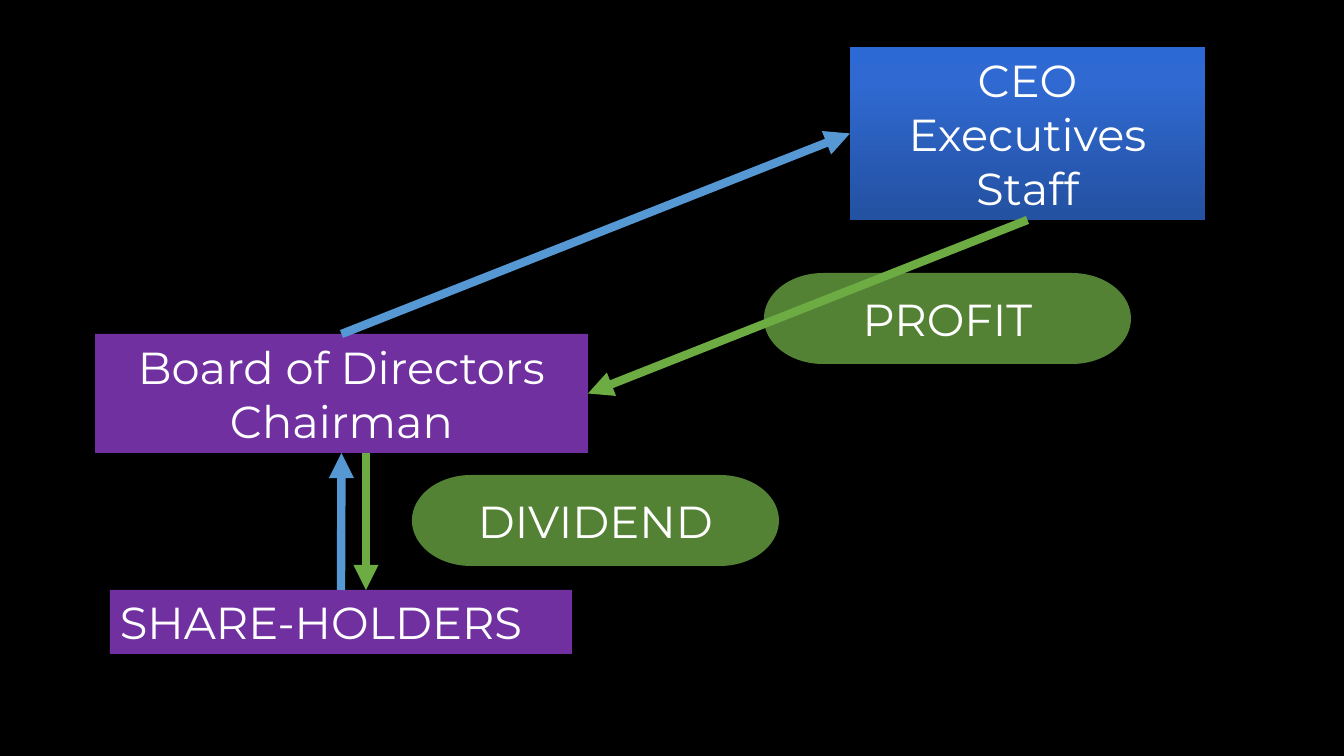
import copy
import pptx
import pptx.util
import pptx.dml.color
import pptx.enum.shapes
import pptx.enum.text
import pptx.oxml
import pptx.oxml.ns

RGB = pptx.dml.color.RGBColor
SHAPE = pptx.enum.shapes.MSO_SHAPE
ALIGN = pptx.enum.text.PP_ALIGN

BLACK = RGB(0x00, 0x00, 0x00)
WHITE = RGB(0xFF, 0xFF, 0xFF)
PURPLE = RGB(0x70, 0x30, 0xA0)
OLIVE = RGB(0x54, 0x82, 0x35)
BLUE = RGB(0x56, 0x98, 0xD3)
GREEN = RGB(0x6D, 0xAC, 0x43)
CEO_STOPS = [
    (0, RGB(0x24, 0x51, 0xA1)),
    (0.8, RGB(0x2F, 0x69, 0xD1)),
    (1, RGB(0x2C, 0x69, 0xD5)),
]

FONT, SIZE = "Montserrat", 32
SCALE = 914400 / 100.8
TOP, LEFT, BOTTOM, RIGHT = range(4)

BOXES = {
    "holders": (SHAPE.RECTANGLE, (110, 590, 462, 64), PURPLE, ALIGN.LEFT, ["SHARE-HOLDERS"]),
    "board": (SHAPE.RECTANGLE, (95, 334, 493, 119), PURPLE, ALIGN.CENTER,
              ["Board of Directors", "Chairman"]),
    "ceo": (SHAPE.RECTANGLE, (850, 47, 355, 173), CEO_STOPS, ALIGN.CENTER,
            ["CEO", "Executives", "Staff"]),
    "profit": (SHAPE.FLOWCHART_TERMINATOR, (764, 273, 367, 91), OLIVE, ALIGN.CENTER, ["PROFIT"]),
    "dividend": (SHAPE.FLOWCHART_TERMINATOR, (412, 475, 367, 91), OLIVE, ALIGN.CENTER, ["DIVIDEND"]),
}
JOINED_ARROWS = [
    ("holders", TOP, "board", BOTTOM, BLUE),
    ("board", TOP, "ceo", LEFT, BLUE),
    ("ceo", BOTTOM, "board", RIGHT, GREEN),
]
DIVIDEND_ARROW = (366, 453, 366, 590)


def px(n):
    return pptx.util.Emu(round(n * SCALE))


def paint(fill, paint_with):
    if isinstance(paint_with, RGB):
        fill.solid()
        fill.fore_color.rgb = paint_with
        return
    fill.gradient()
    fill.gradient_angle = 90
    first = fill.gradient_stops[0]._gs
    first.addnext(copy.deepcopy(first))
    for stop, (position, color) in zip(fill.gradient_stops, paint_with):
        stop.position = position
        stop.color.rgb = color


def add_box(shapes, kind, frame, paint_with, align, lines):
    sp = shapes.add_shape(kind, *map(px, frame))
    sp.shadow.inherit = False
    paint(sp.fill, paint_with)
    sp.line.fill.background()
    tf = sp.text_frame
    tf.word_wrap = True
    tf.auto_size = pptx.enum.text.MSO_AUTO_SIZE.SHAPE_TO_FIT_TEXT
    for i, line in enumerate(lines):
        p = tf.add_paragraph() if i else tf.paragraphs[0]
        p.alignment = align
        r = p.add_run()
        r.text = line
        r.font.name = FONT
        r.font.size = pptx.util.Pt(SIZE)
        r.font.color.rgb = WHITE
    return sp


def add_arrow(shapes, ends, color):
    line = shapes.add_connector(pptx.enum.shapes.MSO_CONNECTOR.STRAIGHT, *map(px, ends))
    line.line.color.rgb = color
    line.line.width = pptx.util.Pt(6)
    tail = pptx.oxml.parse_xml(
        '<a:tailEnd %s type="triangle"/>' % pptx.oxml.ns.nsdecls("a"))
    line.line._get_or_add_ln().append(tail)
    line._element.spPr.append(
        pptx.oxml.parse_xml("<a:effectLst %s/>" % pptx.oxml.ns.nsdecls("a")))
    return line


def main():
    prs = pptx.Presentation()
    prs.slide_width, prs.slide_height = px(1344), px(756)
    s = prs.slides.add_slide(prs.slide_layouts[6])
    s.background.fill.solid()
    s.background.fill.fore_color.rgb = BLACK

    boxes = {name: add_box(s.shapes, *box) for name, box in BOXES.items()}
    for source, source_side, target, target_side, color in JOINED_ARROWS:
        arrow = add_arrow(s.shapes, (0, 0, 0, 0), color)
        arrow.begin_connect(boxes[source], source_side)
        arrow.end_connect(boxes[target], target_side)
    add_arrow(s.shapes, DIVIDEND_ARROW, GREEN)

    prs.save("out.pptx")


if __name__ == "__main__":
    main()
